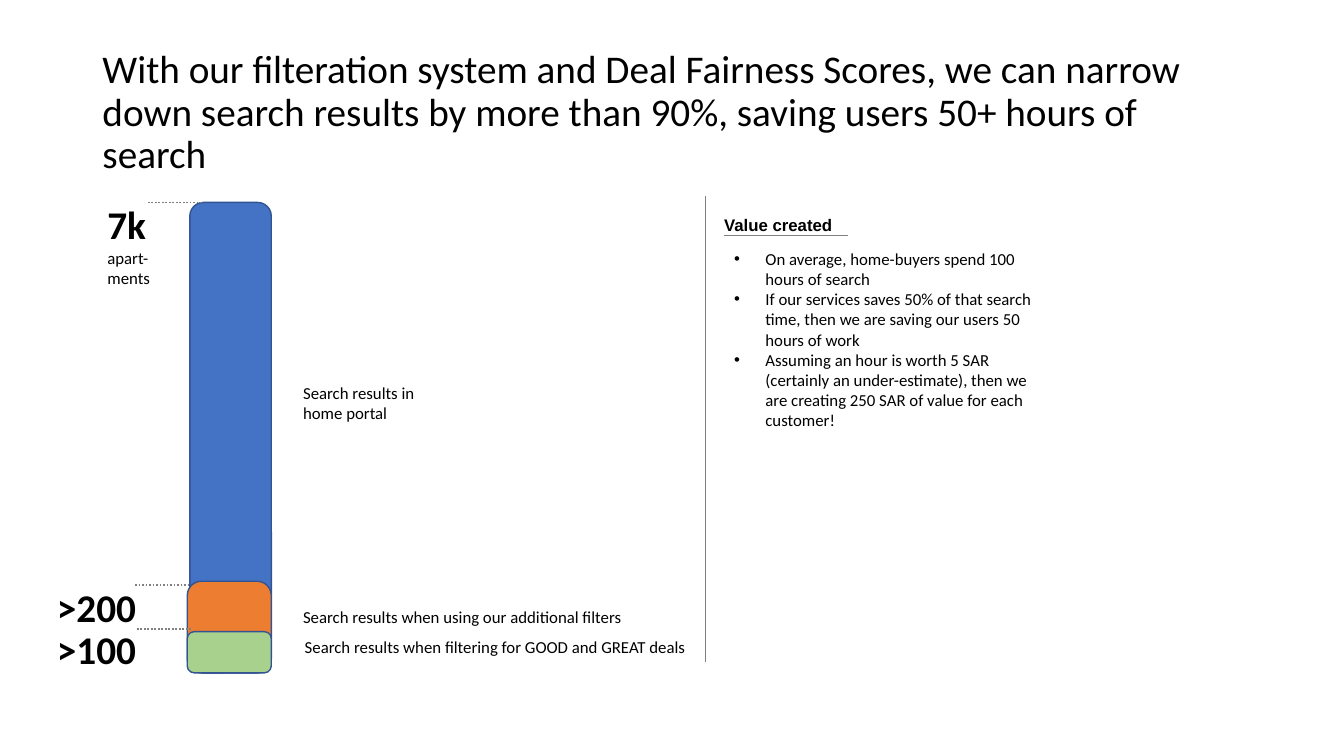
from lxml.etree import SubElement
from pptx import Presentation
from pptx.dml.color import RGBColor
from pptx.enum.dml import MSO_LINE
from pptx.enum.shapes import MSO_CONNECTOR, MSO_SHAPE
from pptx.enum.text import MSO_ANCHOR, MSO_AUTO_SIZE, PP_ALIGN
from pptx.oxml.ns import qn
from pptx.util import Inches, Pt

COLUMNS, ROWS = 160, 90


def color(hex_text):
    return RGBColor.from_string(hex_text)


class Page:
    """Style and drawing methods for one slide on a 160 by 90 grid."""
    font, ink, grey, edge = "Calibri", "000000", "808080", "325491"
    large, small = 28, 12

    def __init__(self, deck):
        self.slide = deck.slides.add_slide(deck.slide_layouts[1])
        self.shapes = self.slide.shapes
        self.column = deck.slide_width / COLUMNS
        self.row = deck.slide_height / ROWS

    def area(self, left, top, width, height):
        return (round(left * self.column), round(top * self.row),
                round(width * self.column), round(height * self.row))

    def move(self, box, place):
        box.left, box.top, box.width, box.height = self.area(*place)

    def style(self, span, size, bold=False, font=None):
        span.font.name = font or self.font
        span.font.size = Pt(size)
        span.font.bold = bold
        span.font.color.rgb = color(self.ink)

    def title(self, place, text):
        box = self.shapes.title
        self.move(box, place)
        frame = box.text_frame
        frame.text = text
        frame.vertical_anchor = MSO_ANCHOR.MIDDLE
        frame.auto_size = MSO_AUTO_SIZE.NONE
        para = frame.paragraphs[0]
        para.alignment = PP_ALIGN.LEFT
        para.line_spacing = 0.9
        self.style(para.runs[0], self.large)

    def bullets(self, place, lines):
        box = self.slide.placeholders[1]
        self.move(box, place)
        frame = box.text_frame
        frame.text = "\n".join(lines)
        frame.auto_size = MSO_AUTO_SIZE.NONE
        for para in frame.paragraphs:
            settings = para._p.get_or_add_pPr()
            settings.set("marL", str(Inches(0.31)))
            settings.set("indent", str(-Inches(0.31)))
            SubElement(settings, qn("a:buFont")).set("typeface", "Arial")
            SubElement(settings, qn("a:buChar")).set("char", "•")
            para.space_before = Pt(0)
            self.style(para.runs[0], self.small)

    def text(self, place, *spans):
        """Add one paragraph; each span is (text, size, bold)."""
        box = self.shapes.add_textbox(*self.area(*place))
        frame = box.text_frame
        frame.word_wrap = True
        for words, size, bold in spans:
            span = frame.paragraphs[0].add_run()
            span.text = words
            self.style(span, size, bold)
        return frame

    def heading(self, place, words):
        frame = self.text(place, (words, self.small, True))
        frame.margin_left = frame.margin_right = 0
        frame.margin_top = frame.margin_bottom = 0
        frame.vertical_anchor = MSO_ANCHOR.BOTTOM
        para = frame.paragraphs[0]
        para.line_spacing = 0.9
        self.style(para.runs[0], self.small, True, "Arial")

    def bar(self, place, fill):
        bar = self.shapes.add_shape(MSO_SHAPE.ROUNDED_RECTANGLE, *self.area(*place))
        bar.shadow.inherit = False
        bar.fill.solid()
        bar.fill.fore_color.rgb = color(fill)
        bar.line.color.rgb = color(self.edge)
        bar.line.width = Pt(1)

    def line(self, left, top, width, height, weight, dotted=False):
        x, y, across, down = self.area(left, top, width, height)
        line = self.shapes.add_connector(MSO_CONNECTOR.STRAIGHT, x, y, x + across, y + down)
        line.line.color.rgb = color(self.grey)
        line.line.width = Pt(weight)
        if dotted:
            line.line.dash_style = MSO_LINE.ROUND_DOT
        SubElement(line._element.spPr, qn("a:effectLst"))


def main():
    deck = Presentation()
    deck.slide_width, deck.slide_height = Inches(13.33), Inches(7.5)
    page = Page(deck)
    page.title((11, 4.8, 138, 17.4),
               "With our filteration system and Deal Fairness Scores, we can narrow down "
               "search results by more than 90%, saving users 50+ hours of search")

    # Nested bars, all standing on the same base row
    base = 80.1
    for left, top, width, fill in ((22.6, 24.1, 9.7, "4472C4"),
                                   (22.3, 69.2, 10, "ED7D31"),
                                   (22.3, 75.2, 10, "A9D18E")):
        page.bar((left, top, width, base - top), fill)

    # Dotted ticks at the bar tops
    for left, top in ((17.6, 24.1), (16.1, 69.6), (16.3, 74.9)):
        page.line(left, top, 6.5, 0, 1.25, dotted=True)

    # Counts on the left
    page.text((11.6, 23.3, 8.2, 11.8),
              ("7k ", page.large, True), ("apart-ments", page.small, False))
    for top, count in ((68.8, ">200"), (73.9, ">100")):
        page.text((5.6, top, 12.6, 6.8), (count, page.large, True))

    # Bar labels
    for place, label in (
            ((34.9, 45, 20.2, 6), "Search results in home portal"),
            ((34.9, 71.6, 67.7, 3.6), "Search results when using our additional filters"),
            ((35.1, 75.2, 71.8, 3.6), "Search results when filtering for GOOD and GREAT deals")):
        page.text(place, (label, page.small, False))

    # Value column
    page.line(84, 23.3, 0, 55.5, 0.5)
    page.heading((86.2, 25.8, 41.4, 2.2), "Value created")
    page.line(86.2, 28, 14.7, 0, 0.75)
    page.bullets((86.2, 29, 38, 25.4), (
        "On average, home-buyers spend 100 hours of search",
        "If our services saves 50% of that search time, then we are saving our users "
        "50 hours of work",
        "Assuming an hour is worth 5 SAR (certainly an under-estimate), then we are "
        "creating 250 SAR of value for each customer!"))

    deck.save("out.pptx")


if __name__ == "__main__":
    main()
